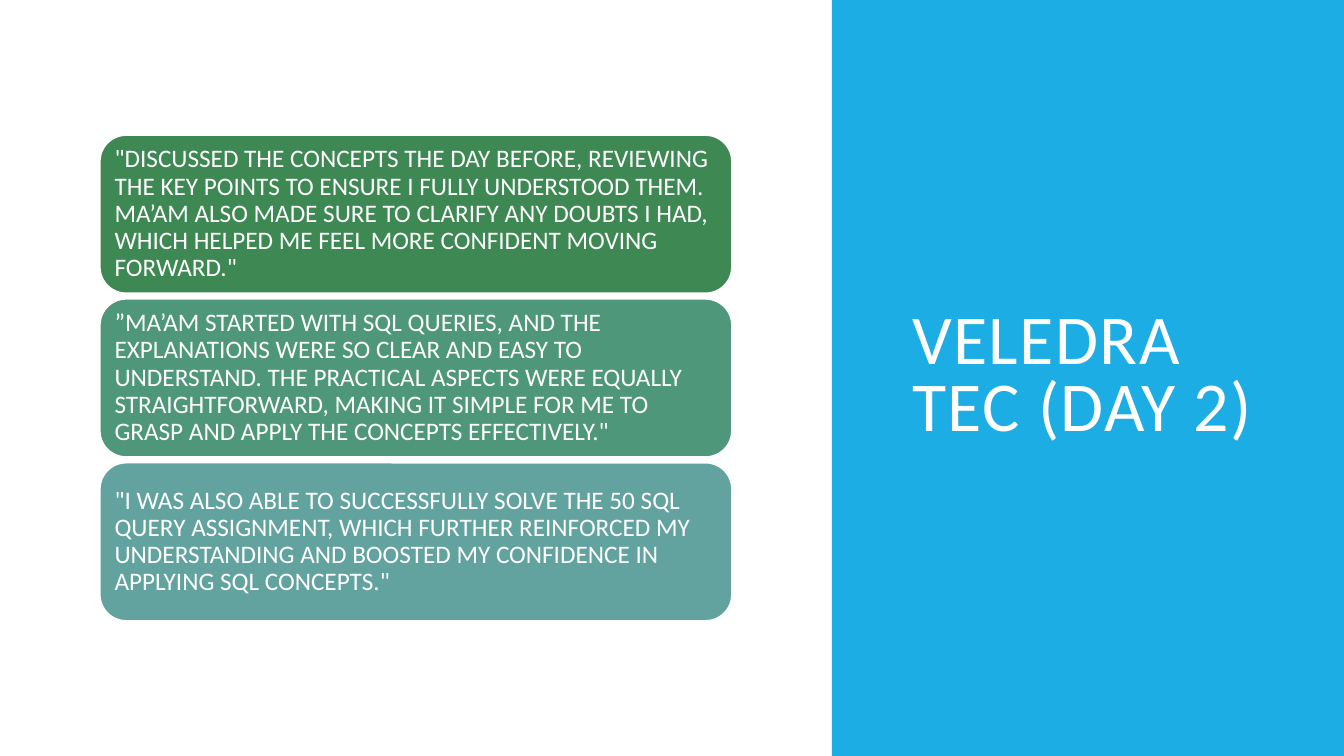
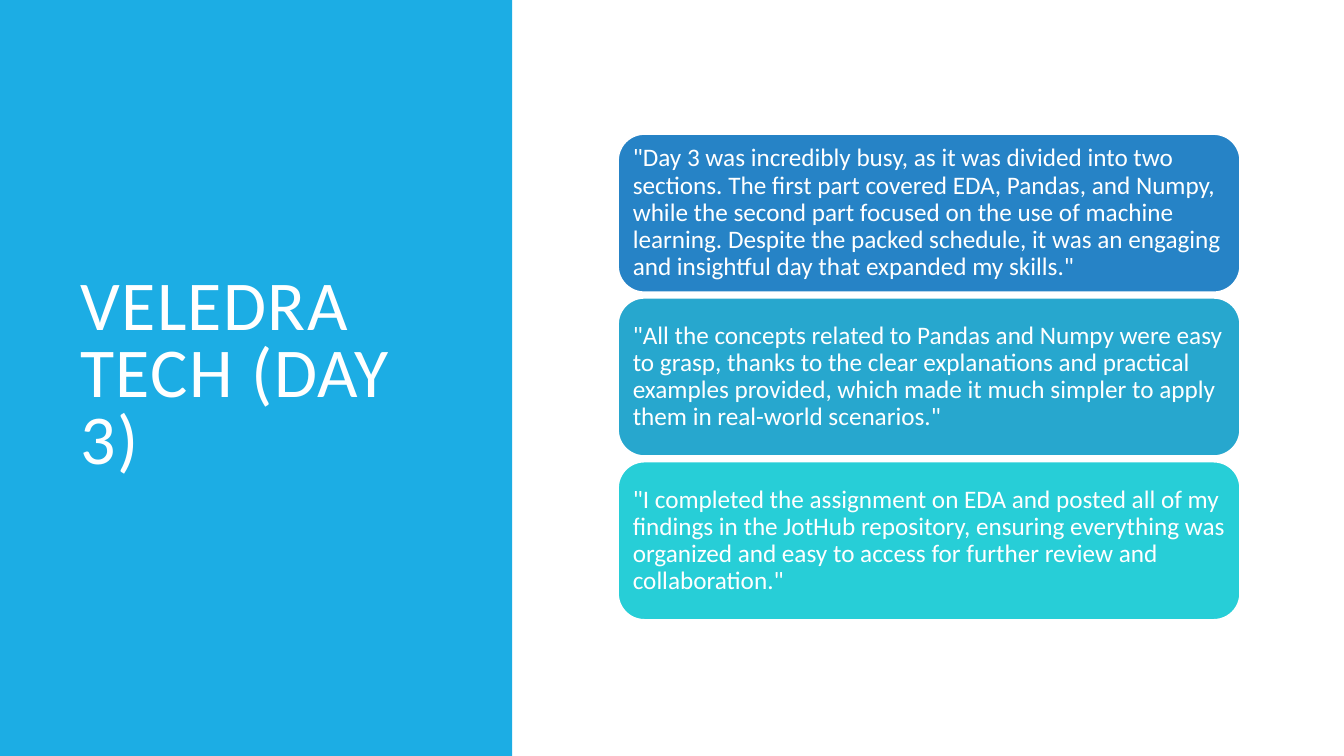
from dataclasses import dataclass
from pptx import Presentation as Deck
from pptx.dml.color import RGBColor as Color
from pptx.enum.shapes import MSO_SHAPE as Shape
from pptx.enum.text import MSO_ANCHOR as Anchor, PP_ALIGN as Align
from pptx.util import Inches, Pt


@dataclass(frozen=True)
class Theme:
    font: str = "Calibri"
    white: str = "FFFFFF"
    band: str = "1CADE4"
    greens: tuple = ("3E8853", "4E977B", "62A39F")
    blues: tuple = ("2683C6", "27A7CE", "27CED7")
    head: int = 50
    body: int = 18
    edge: float = 1.25


def write(frame, text, *, size, font, color, lead, pad, track=0):
    frame.word_wrap = True
    frame.vertical_anchor = Anchor.MIDDLE
    side, end = pad
    frame.margin_left = frame.margin_right = Inches(side)
    frame.margin_top = frame.margin_bottom = Inches(end)
    para = frame.paragraphs[0]
    para.alignment = Align.LEFT
    para.line_spacing = lead
    run = para.add_run()
    run.text = text
    run.font.size = Pt(size)
    run.font.name = font
    run.font.color.rgb = Color.from_string(color)
    if track:
        run._r.get_or_add_rPr().set("spc", str(track * 100))


class Pen:
    """Draws styled parts on the current slide."""

    def __init__(self, theme):
        self.theme = theme
        self.deck = Deck()
        self.deck.slide_width = Inches(13.33)
        self.deck.slide_height = Inches(7.5)
        self.slide = None

    def page(self):
        self.slide = self.deck.slides.add_slide(self.deck.slide_layouts[6])

    def block(self, kind, box, fill, edge=None):
        shape = self.slide.shapes.add_shape(kind, *map(Inches, box))
        shape.shadow.inherit = False
        shape.fill.solid()
        shape.fill.fore_color.rgb = Color.from_string(fill)
        if edge:
            shape.line.color.rgb = Color.from_string(edge)
            shape.line.width = Pt(self.theme.edge)
        else:
            shape.line.fill.background()
        return shape

    def panel(self, left, title):
        look = self.theme
        self.block(Shape.RECTANGLE, (left, 0, 5.08, 7.5), look.band)
        box = self.slide.shapes.add_textbox(
            Inches(left + 0.7), Inches(0.7), Inches(3.74), Inches(6.09))
        write(box.text_frame, title, size=look.head, font=look.font,
              color=look.white, lead=0.8, pad=(0.1, 0.05), track=1)

    def cards(self, left, top, width, fills, notes):
        look = self.theme
        span, high = 4.82, 1.57
        step = (span - high) / (len(notes) - 1)
        for row, (fill, note) in enumerate(zip(fills, notes)):
            box = (left, top + row * step, width, high)
            card = self.block(Shape.ROUNDED_RECTANGLE, box, fill, look.white)
            write(card.text_frame, note, size=look.body, font=look.font,
                  color=look.white, lead=0.9, pad=(0.07, 0.07))

    def save(self):
        self.deck.save("out.pptx")


DAY_TWO = (
    "\"DISCUSSED THE CONCEPTS THE DAY BEFORE, REVIEWING THE KEY POINTS "
    "TO ENSURE I FULLY UNDERSTOOD THEM. MA’AM ALSO MADE SURE TO CLARIFY "
    "ANY DOUBTS I HAD, WHICH HELPED ME FEEL MORE CONFIDENT MOVING FORWARD.\"",
    "”MA’AM STARTED WITH SQL QUERIES, AND THE EXPLANATIONS WERE SO CLEAR "
    "AND EASY TO UNDERSTAND. THE PRACTICAL ASPECTS WERE EQUALLY "
    "STRAIGHTFORWARD, MAKING IT SIMPLE FOR ME TO GRASP AND APPLY THE "
    "CONCEPTS EFFECTIVELY.\"",
    "\"I WAS ALSO ABLE TO SUCCESSFULLY SOLVE THE 50 SQL QUERY ASSIGNMENT, "
    "WHICH FURTHER REINFORCED MY UNDERSTANDING AND BOOSTED MY CONFIDENCE "
    "IN APPLYING SQL CONCEPTS.\"",
)
DAY_THREE = (
    "\"Day 3 was incredibly busy, as it was divided into two sections. "
    "The first part covered EDA, Pandas, and Numpy, while the second part "
    "focused on the use of machine learning. Despite the packed schedule, "
    "it was an engaging and insightful day that expanded my skills.\"",
    "\"All the concepts related to Pandas and Numpy were easy to grasp, "
    "thanks to the clear explanations and practical examples provided, "
    "which made it much simpler to apply them in real-world scenarios.\"",
    "\"I completed the assignment on EDA and posted all of my findings in "
    "the JotHub repository, ensuring everything was organized and easy to "
    "access for further review and collaboration.\"",
)


def main():
    theme = Theme()
    pen = Pen(theme)
    pen.page()
    pen.panel(8.25, "VELEDRA TEC (DAY 2)")
    pen.cards(0.99, 1.34, 6.27, theme.greens, DAY_TWO)
    pen.page()
    pen.panel(0, "VELEDRA TECH (DAY 3)")
    pen.cards(6.13, 1.33, 6.17, theme.blues, DAY_THREE)
    pen.save()


if __name__ == "__main__":
    main()
